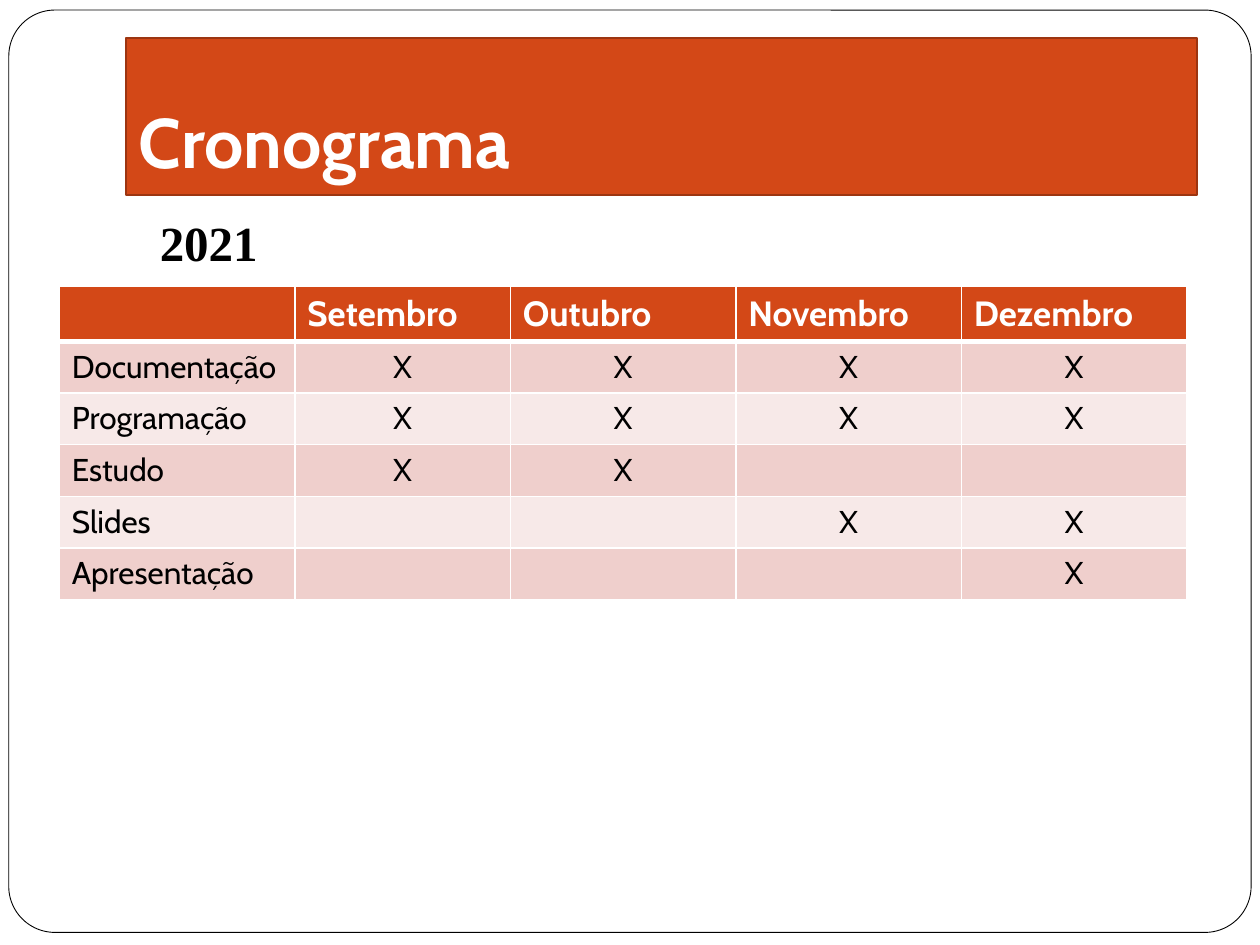
from lxml.etree import SubElement
from pptx import Presentation
from pptx.dml.color import RGBColor
from pptx.enum.shapes import MSO_SHAPE
from pptx.enum.text import MSO_ANCHOR, MSO_AUTO_SIZE, PP_ALIGN
from pptx.oxml.ns import qn
from pptx.util import Inches, Pt

ORANGE, WHITE, BLACK = "D34817", "FFFFFF", "000000"
BANDS = ("EFCFCC", "F7E9E8")
MONTHS = ("Setembro", "Outubro", "Novembro", "Dezembro")
# Each activity with the months in which it takes place
ACTIVITIES = {
    "Documentação": MONTHS,
    "Programação": MONTHS,
    "Estudo": MONTHS[:2],
    "Slides": MONTHS[2:],
    "Apresentação": MONTHS[3:],
}
COLUMN_WIDTHS = (1.87, 1.71, 1.79, 1.79, 1.79)
ROW_HEIGHT = 0.41


def color(hex_value):
    return RGBColor.from_string(hex_value)


def paint(shape, fill, line, width):
    shape.fill.solid()
    shape.fill.fore_color.rgb = color(fill)
    shape.line.color.rgb = color(line)
    shape.line.width = Pt(width)


def write(frame, text, size, ink, bold=False, font="Cabin", align=PP_ALIGN.LEFT):
    paragraph = frame.paragraphs[0]
    paragraph.alignment = align
    run = paragraph.add_run()
    run.text = text
    run.font.color.rgb = color(ink)
    for name, value in {"name": font, "size": Pt(size), "bold": bold}.items():
        setattr(run.font, name, value)


def add_frame(slide):
    frame = slide.shapes.add_shape(MSO_SHAPE.ROUNDED_RECTANGLE, Inches(0.07),
                                   Inches(0.08), Inches(9.86), Inches(7.32))
    frame.adjustments[0] = 0.05
    frame.shadow.inherit = False
    paint(frame, WHITE, BLACK, 0.5)
    # Send the frame behind the title
    slide.shapes.title.element.addprevious(frame.element)


def add_title(slide, text):
    title = slide.shapes.title
    box = {"left": 1, "top": 0.3, "width": 8.5, "height": 1.25}
    for name, value in box.items():
        setattr(title, name, Inches(value))
    paint(title, ORANGE, "9C3511", 1)
    layout = {"vertical_anchor": MSO_ANCHOR.BOTTOM, "auto_size": MSO_AUTO_SIZE.NONE,
              "margin_bottom": Inches(0.1)}
    for name, value in layout.items():
        setattr(title.text_frame, name, value)
    write(title.text_frame, text, 40, WHITE, bold=True)


def add_year(slide, text):
    year = slide.shapes.add_textbox(Inches(1.17), Inches(1.64), Inches(1.56), Inches(0.57))
    year.text_frame.word_wrap = True
    write(year.text_frame, text, 28, BLACK, bold=True, font="Times New Roman")


def style_cell(cell, fill, bottom=1):
    properties = cell._tc.get_or_add_tcPr()
    for side, width in {"L": 1, "R": 1, "T": 1, "B": bottom}.items():
        border = SubElement(properties, qn(f"a:ln{side}"), w=str(Pt(width)))
        solid = SubElement(border, qn("a:solidFill"))
        SubElement(solid, qn("a:srgbClr"), val=WHITE)
    cell.fill.solid()
    cell.fill.fore_color.rgb = color(fill)


def add_schedule(slide):
    row_count = len(ACTIVITIES) + 1
    table = slide.shapes.add_table(
        row_count, len(COLUMN_WIDTHS), Inches(0.47), Inches(2.27),
        Inches(sum(COLUMN_WIDTHS)), Inches(ROW_HEIGHT * row_count)).table
    for column, width in zip(table.columns, COLUMN_WIDTHS):
        column.width = Inches(width)

    # Header with the months
    for index, month in enumerate(("",) + MONTHS):
        cell = table.cell(0, index)
        style_cell(cell, ORANGE, bottom=3)
        if month:
            write(cell.text_frame, month, 20, WHITE, bold=True)

    # One banded row for each activity
    for row, (activity, active_months) in enumerate(ACTIVITIES.items(), 1):
        marks = ["X" if month in active_months else "" for month in MONTHS]
        for index, text in enumerate([activity] + marks):
            cell = table.cell(row, index)
            style_cell(cell, BANDS[(row - 1) % 2], bottom=1)
            if row == 1:
                cell._tc.tcPr.find(qn("a:lnT")).set("w", str(Pt(3)))
            if text:
                align = PP_ALIGN.CENTER if index else PP_ALIGN.LEFT
                write(cell.text_frame, text, 18, BLACK, align=align)


def main():
    presentation = Presentation()
    presentation.slide_width, presentation.slide_height = Inches(10), Inches(7.5)
    slide = presentation.slides.add_slide(presentation.slide_layouts[5])
    add_frame(slide)
    add_title(slide, "Cronograma")
    add_schedule(slide)
    add_year(slide, "2021")
    presentation.save("out.pptx")


if __name__ == "__main__":
    main()
